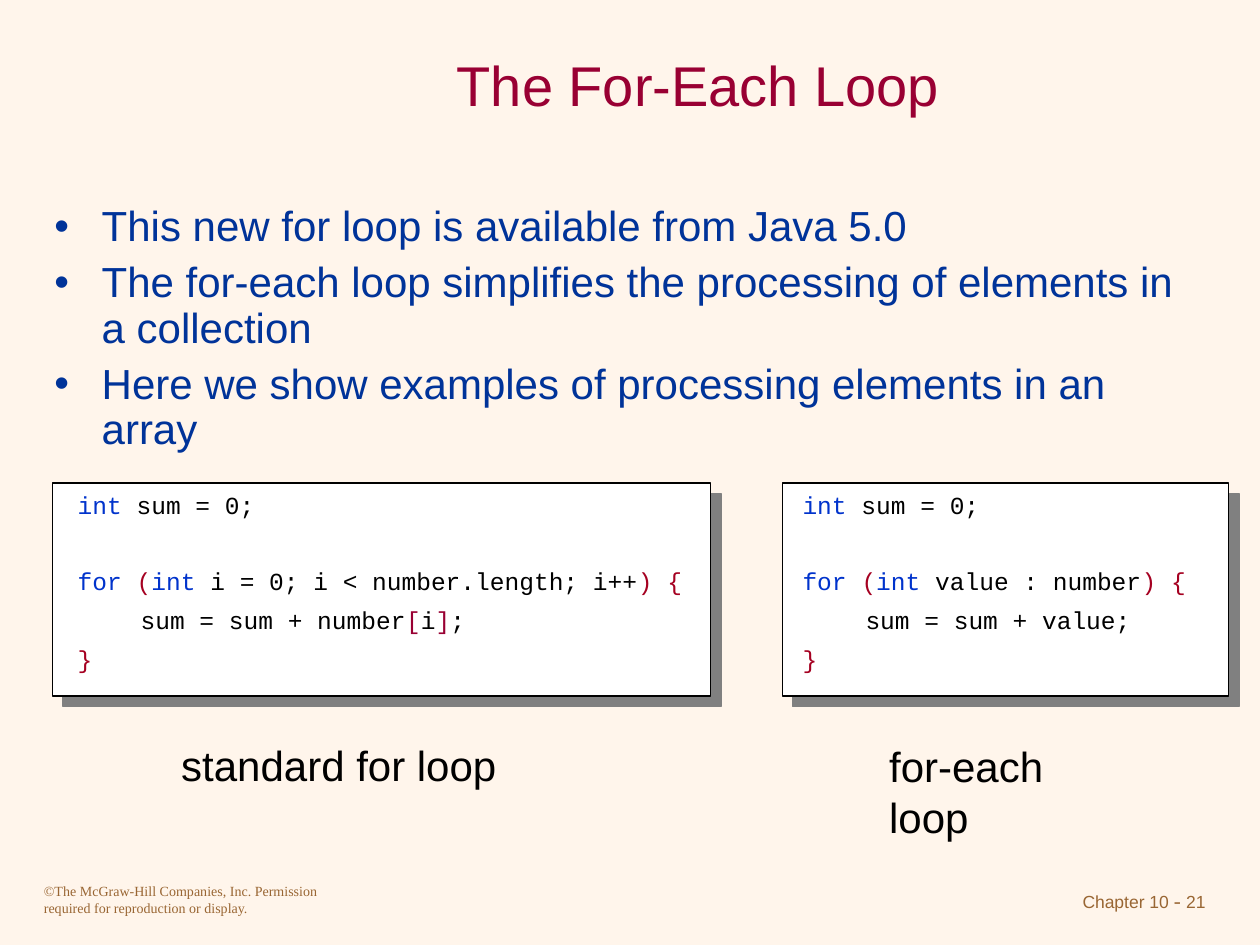
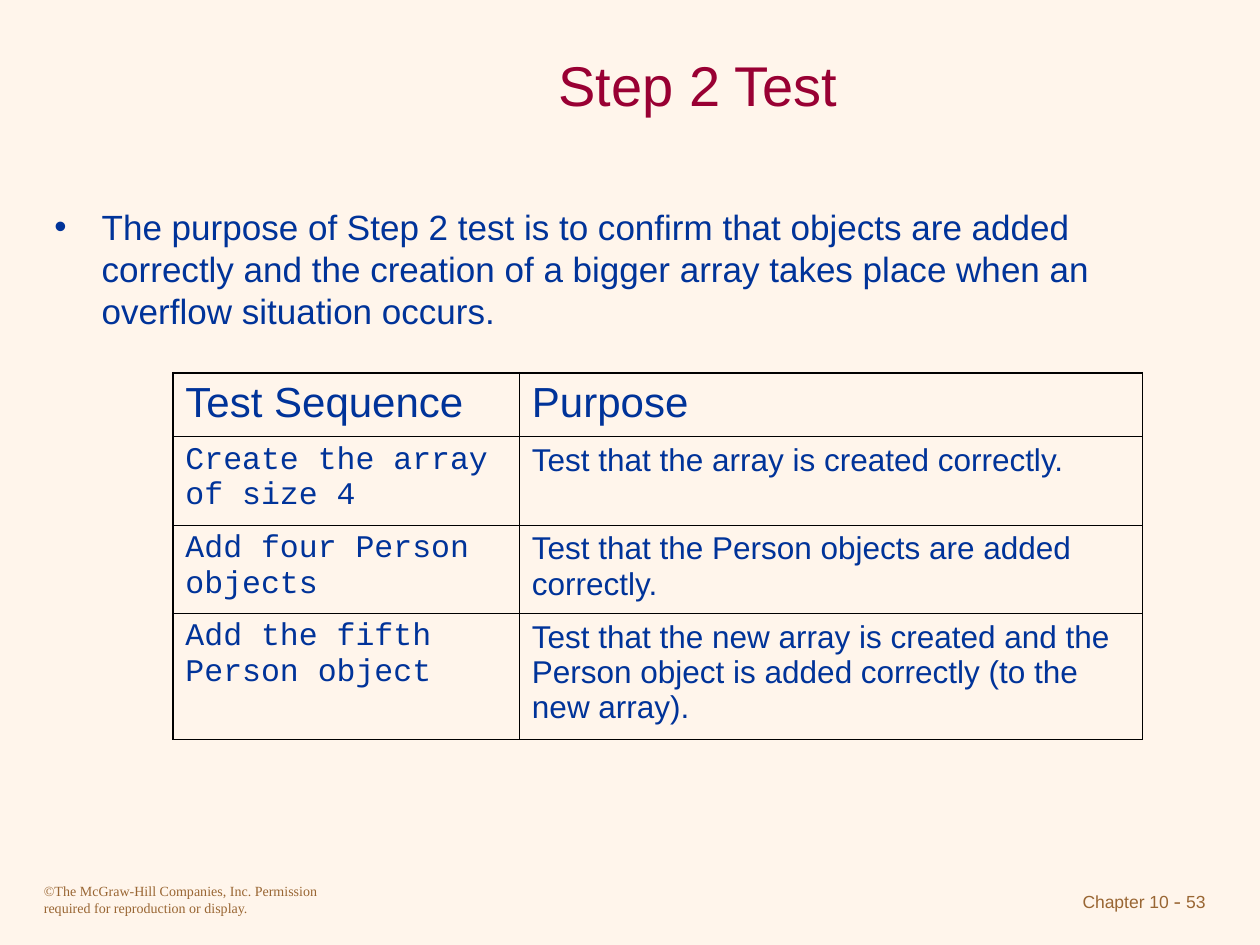
from lxml import etree
from pptx import Presentation
from pptx.dml.color import RGBColor
from pptx.enum.shapes import MSO_SHAPE
from pptx.enum.text import MSO_ANCHOR, PP_ALIGN
from pptx.oxml.ns import qn
from pptx.util import Pt

LEFT, CENTER, RIGHT = PP_ALIGN.LEFT, PP_ALIGN.CENTER, PP_ALIGN.RIGHT
TOP, MIDDLE = MSO_ANCHOR.TOP, MSO_ANCHOR.MIDDLE
RECTANGLE = MSO_SHAPE.RECTANGLE


class Theme:
    background, paper, ink, shadow = "FFF5EB", "FFFFFF", "000000", "808080"
    title, body, footer = "990033", "003399", "996633"
    keyword, bracket, index = "0033CC", "A50021", "990033"
    sans, serif, mono = "Arial", "Times New Roman", "Courier New"
    title_size, body_size, small_body_size = 32, 24, 20
    cell_size, code_size = 18, 14
    copyright_size, page_size, dash_size = 8, 10, 12
    outer_border, inner_border = 1.08, 0.45


# Content: a paragraph is a string, or a list of (text, run format) pairs
COPYRIGHT = ("©The McGraw-Hill Companies, Inc. Permission required "
             "for reproduction or display.")
CHAPTER = "Chapter 10"

LOOP_TITLE, LOOP_PAGE = "The For-Each Loop", "21"
LOOP_POINTS = [
    "This new for loop is available from Java 5.0",
    "The for-each loop simplifies the processing of elements in a collection",
    "Here we show examples of processing elements in an array",
]
KEYWORD, BRACKET, INDEX = ({"color": c} for c in (
    Theme.keyword, Theme.bracket, Theme.index))
PLAIN = {}


def loop_code(header, body):
    """Lines of a summing loop with the given loop header and body."""
    return [
        [("int", KEYWORD), (" sum = 0;", PLAIN)],
        [("for ", KEYWORD), ("(", BRACKET), ("int", KEYWORD),
         (header, PLAIN), (") {", BRACKET)],
        body,
        [("}", BRACKET)],
    ]


# (code lines, panel left and width, code left and width, caption, its box)
LOOPS = [
    (loop_code(" i = 0; i < number.length; i++",
               [("\tsum = sum + number", PLAIN), ("[", INDEX), ("i", PLAIN),
                ("]", INDEX), (";", PLAIN)]),
     (30, 376), (37.3, 361.5), "standard for loop", (96.5, 419, 194.5, 36)),
    (loop_code(" value : number", [("\tsum = sum + value;", PLAIN)]),
     (447, 255), (451.5, 245), "for-each loop", (501, 419.8, 154, 36)),
]
PANEL_TOP, PANEL_HEIGHT = 276, 121.7
CODE_GAP, CODE_SPACING, CODE_TAB = 8.8, 0.8, 36
BLANK_LINE = 12.7 + CODE_GAP

TEST_TITLE, TEST_PAGE = "Step 2 Test", "53"
TEST_POINTS = ["The purpose of Step 2 test is to confirm that objects are "
               "added correctly and the creation of a bigger array takes "
               "place when an overflow situation occurs."]
TEST_TABLE = [
    ("Test Sequence", "Purpose"),
    ("Create the array of size 4", "Test that the array is created correctly."),
    ("Add four Person objects",
     "Test that the Person objects are added correctly."),
    ("Add the fifth Person object",
     "Test that the new array is created and the Person object is added "
     "correctly (to the new array)."),
]
COLUMN_WIDTHS, ROW_HEIGHTS = (198, 356), (36.5, 50.5, 50.5, 72)
TABLE_LEFT, TABLE_TOP = 98.8, 213


# Helpers
def rgb(value):
    return RGBColor.from_string(value)


def child(parent, tag, **attributes):
    return etree.SubElement(parent, qn(tag),
                            {k: str(v) for k, v in attributes.items()})


def solid(parent, color):
    child(child(parent, "a:solidFill"), "a:srgbClr", val=color)


def write(frame, paragraphs, font=Theme.sans, size=Theme.body_size,
          color=Theme.ink, align=LEFT, anchor=TOP, wrap=True, gaps=(),
          spacing=None, bullet=False, tab=None):
    """Fill a text frame; gaps[i] is the space before paragraph i + 1."""
    frame.word_wrap, frame.vertical_anchor = wrap, anchor
    for i, content in enumerate(paragraphs):
        para = frame.paragraphs[0] if i == 0 else frame.add_paragraph()
        props = para._p.get_or_add_pPr()
        if bullet:
            props.set("marL", str(Pt(27)))
            props.set("indent", str(-Pt(27)))
            child(child(props, "a:buClr"), "a:srgbClr", val=color)
            child(props, "a:buFont", typeface=Theme.sans)
            child(props, "a:buChar", char="•")
        if tab:
            child(child(props, "a:tabLst"), "a:tab", pos=Pt(tab), algn="l")
        para.alignment = align
        para.space_before = Pt(gaps[i - 1] if i and gaps else 0)
        if spacing:
            para.line_spacing = spacing
        runs = [(content, {})] if isinstance(content, str) else content
        for text, style in runs:
            run = para.add_run()
            run.text = text
            run.font.name = style.get("font", font)
            run.font.size = Pt(style.get("size", size))
            run.font.color.rgb = rgb(style.get("color", color))


def text_box(slide, box, paragraphs, **style):
    write(slide.shapes.add_textbox(*map(Pt, box)).text_frame,
          paragraphs, **style)


def new_slide(prs, title, page):
    """Title-only slide with the shared title style and footers."""
    slide = prs.slides.add_slide(prs.slide_layouts[5])
    heading = slide.shapes.title
    heading.left, heading.top, heading.width, heading.height = map(
        Pt, (108, 18, 582, 60))
    write(heading.text_frame, [title], size=Theme.title_size,
          color=Theme.title, align=CENTER, anchor=MIDDLE)
    text_box(slide, (18, 501, 180, 27), [COPYRIGHT], font=Theme.serif,
             size=Theme.copyright_size, color=Theme.footer)
    dash = {"font": Theme.serif, "size": Theme.dash_size}
    text_box(slide, (540, 503.5, 156, 24),
             [[(CHAPTER, {}), (" - ", dash), (page, {})]],
             size=Theme.page_size, color=Theme.footer, align=RIGHT)
    return slide


def code_panel(slide, left, width):
    panel = slide.shapes.add_shape(
        RECTANGLE, *map(Pt, (left, PANEL_TOP, width, PANEL_HEIGHT)))
    panel.fill.solid()
    panel.fill.fore_color.rgb = rgb(Theme.paper)
    panel.line.color.rgb = rgb(Theme.ink)
    panel.line.width = Pt(0.75)
    panel.shadow.inherit = False
    effects = panel._element.spPr.find(qn("a:effectLst"))
    shadow = child(effects, "a:outerShdw", dist=Pt(8.5), dir=45 * 60000,
                   algn="ctr", rotWithShape=0)
    child(shadow, "a:srgbClr", val=Theme.shadow)


def set_borders(cell, outer_sides):
    """Draw all four sides, heavier where the table ends."""
    props = cell._tc.get_or_add_tcPr()
    for i, (side, outer) in enumerate(zip("LRTB", outer_sides)):
        width = Theme.outer_border if outer else Theme.inner_border
        line = etree.Element(qn(f"a:ln{side}"), {"w": str(Pt(width))})
        solid(line, Theme.ink)
        props.insert(i, line)


# Slides
def build_loop_slide(prs):
    slide = new_slide(prs, LOOP_TITLE, LOOP_PAGE)
    text_box(slide, (24, 114, 672, 150), LOOP_POINTS, color=Theme.body,
             gaps=(6, 6), spacing=0.9, bullet=True)
    for code, panel, (left, width), caption, caption_box in LOOPS:
        code_panel(slide, *panel)
        text_box(slide, (left, PANEL_TOP + 3.4, width, 109.5), code,
                 font=Theme.mono, size=Theme.code_size, spacing=CODE_SPACING,
                 gaps=(CODE_GAP + BLANK_LINE, CODE_GAP, CODE_GAP),
                 tab=CODE_TAB)
        text_box(slide, caption_box, [caption], wrap=False)


def build_test_slide(prs):
    slide = new_slide(prs, TEST_TITLE, TEST_PAGE)
    text_box(slide, (24, 114, 672, 81), TEST_POINTS,
             size=Theme.small_body_size, color=Theme.body, bullet=True)
    rows, columns = len(TEST_TABLE), len(COLUMN_WIDTHS)
    table = slide.shapes.add_table(
        rows, columns, Pt(TABLE_LEFT), Pt(TABLE_TOP),
        Pt(sum(COLUMN_WIDTHS)), Pt(sum(ROW_HEIGHTS))).table
    table.first_row = table.horz_banding = False
    for column, width in zip(table.columns, COLUMN_WIDTHS):
        column.width = Pt(width)
    for r, (row, height) in enumerate(zip(TEST_TABLE, ROW_HEIGHTS)):
        table.rows[r].height = Pt(height)
        for c, text in enumerate(row):
            cell = table.cell(r, c)
            cell.fill.background()
            write(cell.text_frame, [text], color=Theme.body,
                  font=Theme.mono if r and c == 0 else Theme.sans,
                  size=Theme.cell_size if r else Theme.body_size)
            set_borders(cell, (c == 0, c == columns - 1,
                               r == 0, r == rows - 1))


def main():
    prs = Presentation()
    prs.slide_width, prs.slide_height = Pt(720), Pt(540)
    backdrop = prs.slide_master.background.fill
    backdrop.solid()
    backdrop.fore_color.rgb = rgb(Theme.background)
    build_loop_slide(prs)
    build_test_slide(prs)
    prs.save("out.pptx")


if __name__ == "__main__":
    main()
